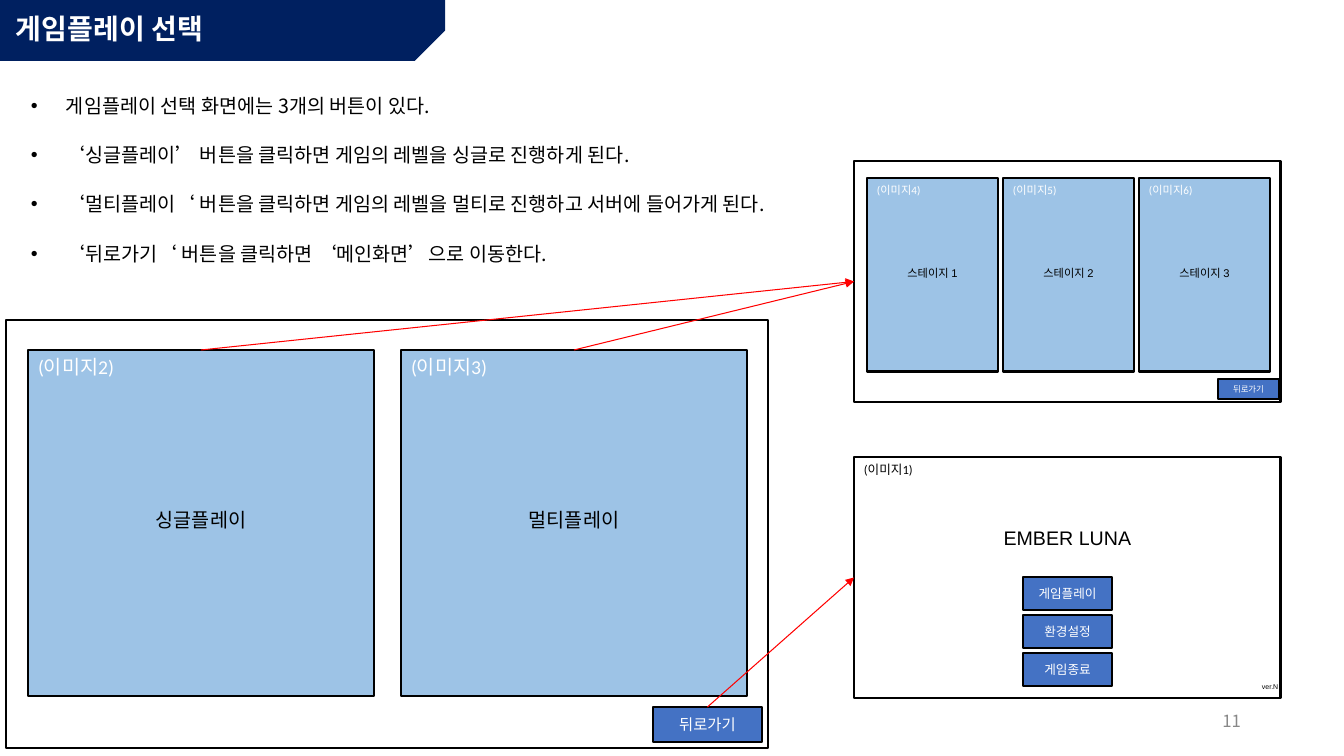
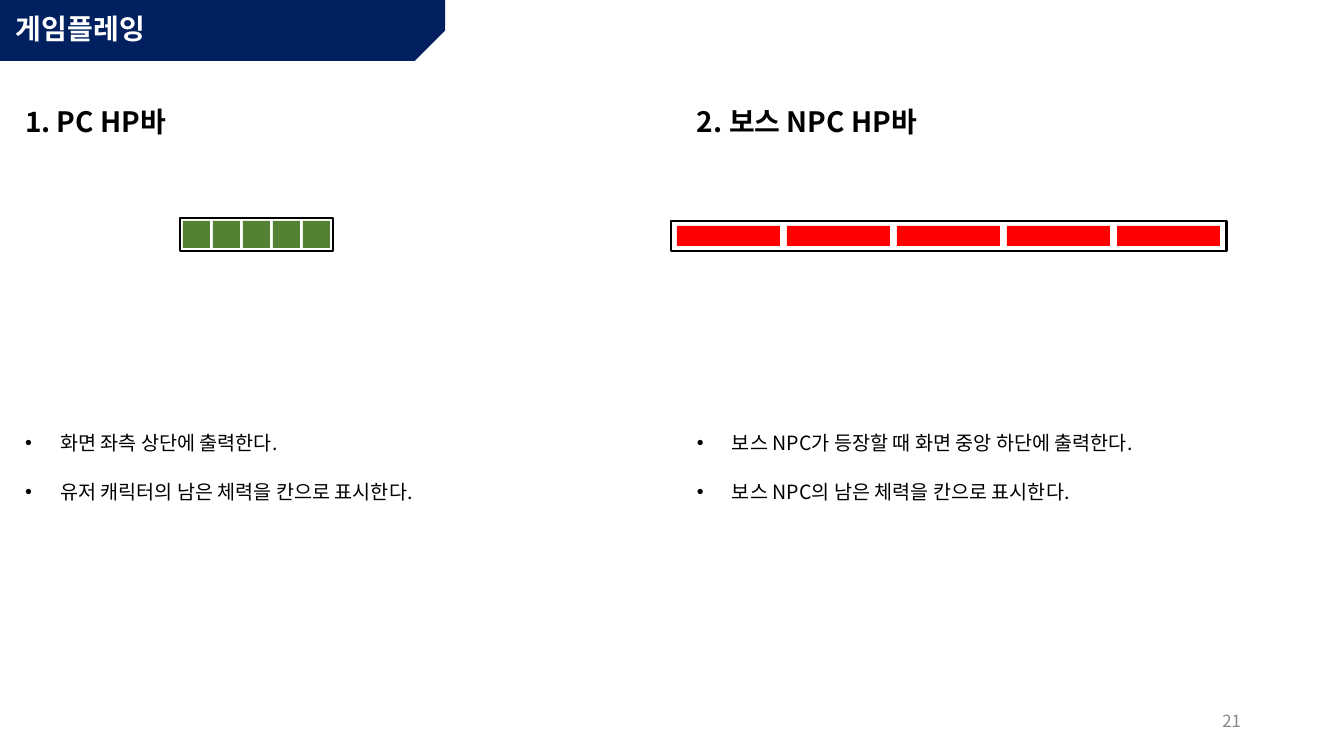
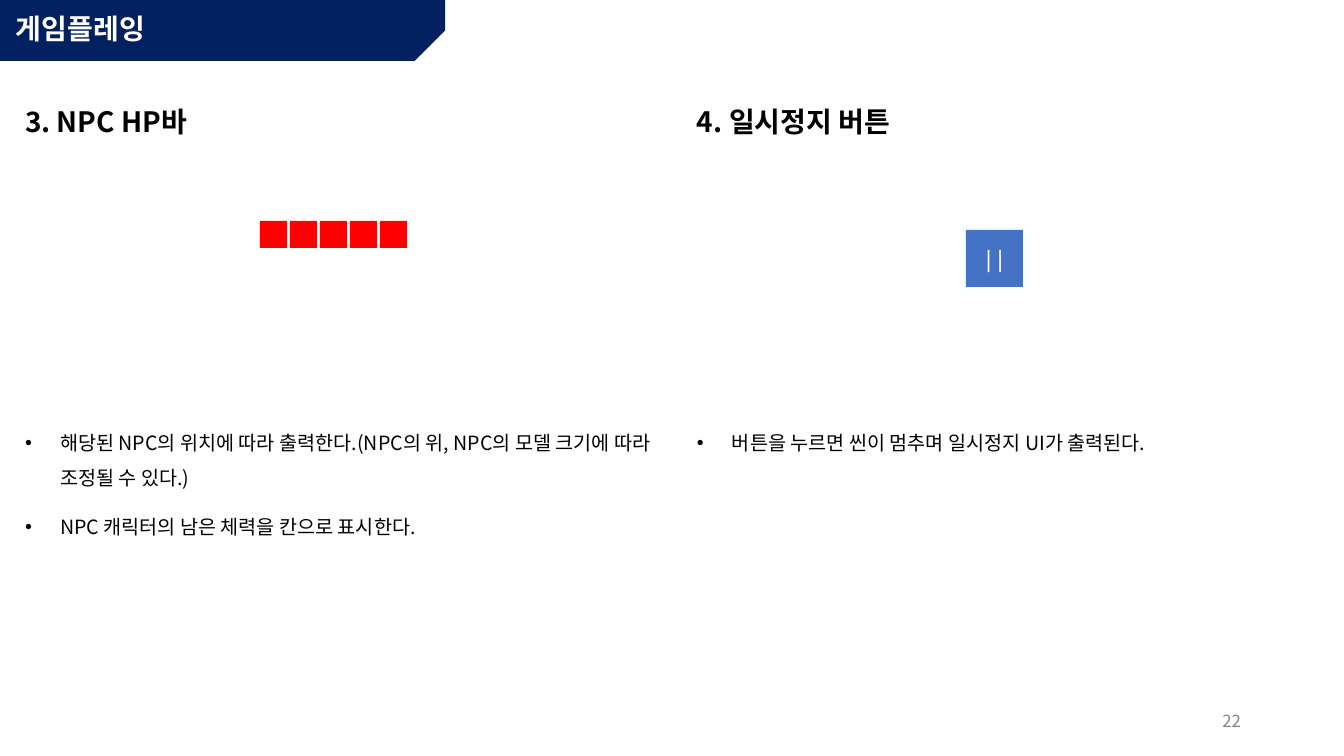
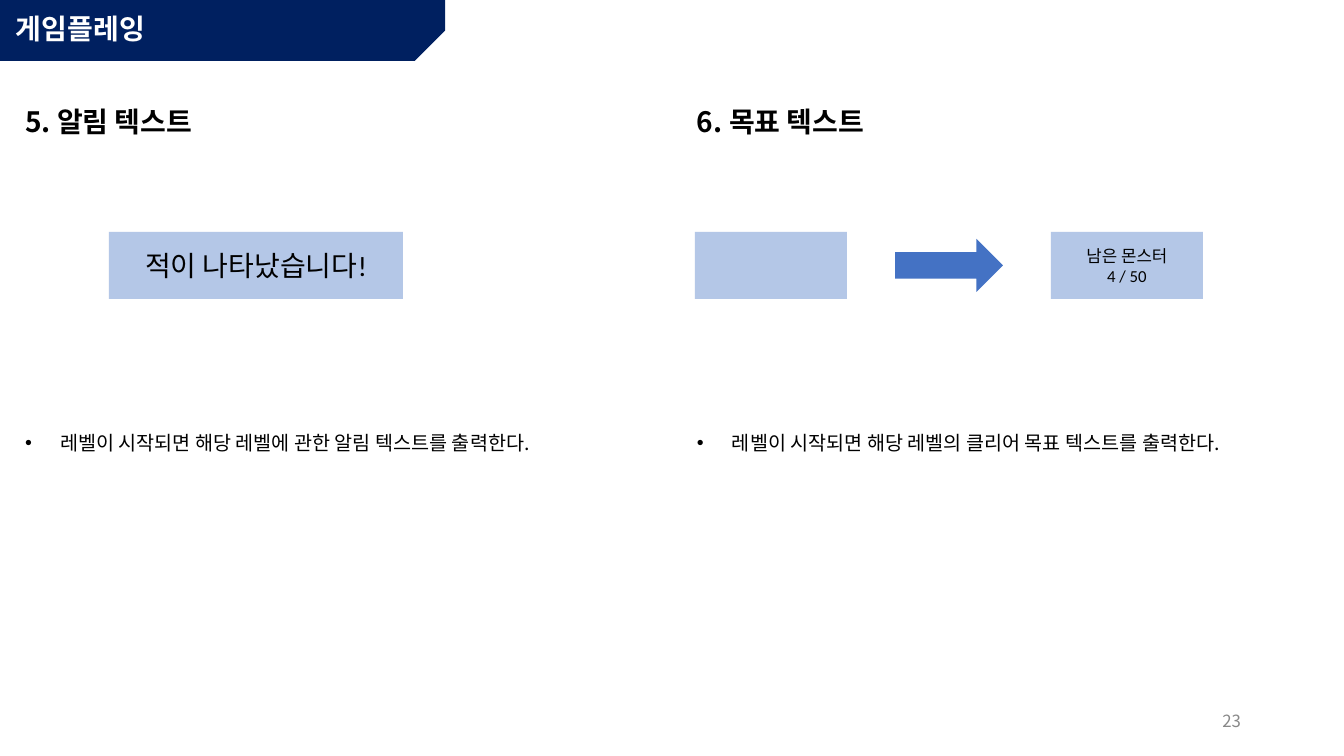
from lxml.etree import SubElement
from pptx import Presentation
from pptx.dml.color import RGBColor
from pptx.enum.shapes import MSO_CONNECTOR, MSO_SHAPE
from pptx.enum.text import MSO_ANCHOR, MSO_AUTO_SIZE, PP_ALIGN
from pptx.oxml.ns import qn
from pptx.util import Emu, Pt

PX = 914400 / 100.8
W, H = 1344, 756
NOTO, CALIBRI, ARIAL = "Noto Sans CJK KR", "Calibri", "Arial"
BLACK, WHITE, GRAY, RED, GREEN = "000000", "FFFFFF", "888888", "FF0000", "548235"
NAVY, BLUE, SKY, PALE = "002060", "4472C4", "9DC3E6", "B4C7E7"
TITLE_BOX = (6, 7, 406, 46)
NUMBER_BOX = (949, 701, 302, 40)
COLUMN_W = W // 2


def px(n):
    """Turn pixels into EMU."""
    return Emu(round(n * PX))


def rgb(hex_color):
    """Turn a hex string into a colour."""
    return RGBColor.from_string(hex_color)


def write(tf, text, size, font=NOTO, color=BLACK, bold=False, align=PP_ALIGN.LEFT,
          anchor=MSO_ANCHOR.TOP, inset=(10, 5), spacing=None, before=None):
    """Fill a text frame and give all its runs one style."""
    tf.text = text
    tf.vertical_anchor = anchor
    tf.margin_left = tf.margin_right = px(inset[0])
    tf.margin_top = tf.margin_bottom = px(inset[1])
    for p in tf.paragraphs:
        p.alignment = align
        if spacing:
            p.line_spacing = spacing
        if before:
            p.space_before = Pt(before)
        for r in p.runs:
            r.font.size, r.font.bold, r.font.name = Pt(size), bold, font
            r.font.color.rgb = rgb(color)
            SubElement(r._r.get_or_add_rPr(), qn("a:ea"), typeface=NOTO)


def add_box(shapes, box, fill=None, line=None, kind=MSO_SHAPE.RECTANGLE):
    """Add a flat preset shape."""
    sp = shapes.add_shape(kind, *map(px, box))
    sp.shadow.inherit = False
    if fill:
        sp.fill.solid()
        sp.fill.fore_color.rgb = rgb(fill)
    else:
        sp.fill.background()
    if line:
        sp.line.color.rgb = rgb(line)
        sp.line.width = Pt(2)
    else:
        sp.line.fill.background()
    return sp


def add_text(shapes, box, text, size, **style):
    """Add a wrapping text box."""
    tf = shapes.add_textbox(*map(px, box)).text_frame
    tf.word_wrap = True
    write(tf, text, size, **style)
    return tf


def add_label(shapes, box, text, size, align=PP_ALIGN.CENTER):
    """Add a one-line label that fits its text."""
    tf = add_text(shapes, box, text, size, font=ARIAL, align=align)
    tf.word_wrap = False
    tf.auto_size = MSO_AUTO_SIZE.SHAPE_TO_FIT_TEXT


def add_button(shapes, box, text, size, fill=BLUE, line=BLACK, color=WHITE):
    """Add a rectangle with centred text."""
    sp = add_box(shapes, box, fill, line)
    write(sp.text_frame, text, size, CALIBRI, color, align=PP_ALIGN.CENTER,
          anchor=MSO_ANCHOR.MIDDLE, inset=(0, 0))
    return sp


def add_bullets(shapes, box, lines):
    """Add a bulleted list."""
    tf = add_text(shapes, box, "\n".join(lines), 14, spacing=1.5, before=10)
    for p in tf.paragraphs:
        pPr = p._p.get_or_add_pPr()
        pPr.set("marL", str(px(50)))
        pPr.set("indent", str(px(-35)))
        SubElement(SubElement(pPr, qn("a:buClr")), qn("a:srgbClr"), val=BLACK)
        SubElement(pPr, qn("a:buFont"), typeface=ARIAL)
        SubElement(pPr, qn("a:buChar"), char="•")


def add_arrow(shapes, start, end):
    """Draw a red arrow from the top of one shape to the left of another."""
    c = shapes.add_connector(MSO_CONNECTOR.STRAIGHT, 0, 0, 0, 0)
    c.begin_connect(start, 0)
    c.end_connect(end, 1)
    c.line.color.rgb = rgb(RED)
    c.line.width = Pt(0.75)
    SubElement(c.line._get_or_add_ln(), qn("a:tailEnd"), type="triangle")
    SubElement(c.element.spPr, qn("a:effectLst"))


def add_band(s, layout):
    """Put the navy title band on the layout."""
    band = add_box(s.shapes, (0, 0, 445, 61), NAVY, kind=MSO_SHAPE.SNIP_1_RECTANGLE)
    band.adjustments[0] = 0.5
    band.rotation = 180
    band.element.spPr.xfrm.set("flipH", "1")
    layout.shapes.element.append(band.element)


def new_slide(prs, layout, title, number):
    """Start a slide with its title and number."""
    s = prs.slides.add_slide(layout)
    t = s.shapes.title
    t.left, t.top, t.width, t.height = map(px, TITLE_BOX)
    write(t.text_frame, title, 20, color=WHITE, bold=True,
          anchor=MSO_ANCHOR.MIDDLE, spacing=0.9)
    add_text(s.shapes, NUMBER_BOX, str(number), 12, color=GRAY,
             align=PP_ALIGN.RIGHT, anchor=MSO_ANCHOR.MIDDLE)
    return s


def choice_screen(shapes, box, tile, pitch, names, first, size, back, back_size):
    """Draw a game screen with numbered tiles and a back button."""
    x, y, _, _ = box
    frame = add_box(shapes, box, line=BLACK)
    dx, dy, w, h = tile
    label_h = 2 * size + 12
    tiles = []
    for i, name in enumerate(names):
        left, top = x + dx + i * pitch, y + dy
        sp = add_box(shapes, (left, top, w, h), SKY, BLACK)
        write(sp.text_frame, f"(이미지{first + i})", size, CALIBRI, WHITE)
        add_label(shapes, (left, top + (h - label_h) // 2, w, label_h), name, size)
        tiles.append(sp)
    dx, dy, w, h = back
    button = add_button(shapes, (x + dx, y + dy, w, h), "뒤로가기", back_size)
    return frame, tiles, button


def main_screen(shapes, box):
    """Draw the main menu screen."""
    x, y, w, _ = box
    frame = add_box(shapes, box, line=BLACK)
    write(frame.text_frame, "(이미지1)", 9, CALIBRI)
    add_label(shapes, (x, y + 64, w, 34), "EMBER LUNA", 14)
    for i, name in enumerate(("게임플레이", "환경설정", "게임종료")):
        add_button(shapes, (x + (w - 89) // 2, y + 120 + i * 38, 89, 33), name, 9)
    add_label(shapes, (x + 398, y + 221, 37, 19), "ver.N", 5, PP_ALIGN.LEFT)
    return frame


def hp_bar(shapes, box, cell, pitch, fill, line=None, count=5):
    """Draw a frame with a centred row of cells."""
    x, y, w, h = box
    cell_w, cell_h = cell
    add_box(shapes, box, WHITE, line)
    left = x + (w - (count - 1) * pitch - cell_w) // 2
    for i in range(count):
        add_box(shapes, (left + i * pitch, y + (h - cell_h) // 2, cell_w, cell_h), fill)


def goal_change(shapes, x, y):
    """Draw the goal panel before and after it fills."""
    add_box(shapes, (x, y, 152, 67), PALE)
    add_box(shapes, (x + 200, y + 7, 108, 53), BLUE, kind=MSO_SHAPE.RIGHT_ARROW)
    add_button(shapes, (x + 356, y, 152, 67), "남은 몬스터\n4 / 50", 12, PALE, None, BLACK)


def column(s, x, heading, lines):
    """Write the heading and the bullets of one half of a slide."""
    tf = add_text(s.shapes, (x, 83, 513, 83), heading, 20, bold=True,
                  spacing=1.5, before=10)
    tf.paragraphs[0]._p.get_or_add_pPr().set("marL", str(px(15)))
    add_bullets(s.shapes, (x, 414, COLUMN_W, 195), lines)


def group(s):
    """Open a group and return its shapes."""
    return s.shapes.add_group_shape().shapes


def selection_slide(s):
    """Fill the slide on choosing a play mode."""
    _, modes, back = choice_screen(
        s.shapes, (6, 320, 762, 428), (22, 30, 346, 346), 373,
        ("싱글플레이", "멀티플레이"), 2, 14, (647, 387, 109, 35), 11)
    add_bullets(s.shapes, (6, 77, 1328, 616), (
        "게임플레이 선택 화면에는 3개의 버튼이 있다.",
        "‘싱글플레이’ 버튼을 클릭하면 게임의 레벨을 싱글로 진행하게 된다.",
        "‘멀티플레이‘ 버튼을 클릭하면 게임의 레벨을 멀티로 진행하고 서버에 들어가게 된다.",
        "‘뒤로가기‘ 버튼을 클릭하면 ‘메인화면’으로 이동한다."))
    menu = main_screen(group(s), (854, 457, 427, 241))
    stages, _, _ = choice_screen(
        group(s), (854, 161, 427, 241), (13, 17, 131, 194), 136,
        ("스테이지 1", "스테이지 2", "스테이지 3"), 4, 8, (364, 218, 61, 20), 6)
    add_arrow(s.shapes, back, menu)
    for mode in modes:
        add_arrow(s.shapes, mode, stages)


def player_boss_slide(s):
    """Fill the slide on the player and boss bars."""
    column(s, 0, "1. PC HP바", (
        "화면 좌측 상단에 출력한다.",
        "유저 캐릭터의 남은 체력을 칸으로 표시한다."))
    column(s, COLUMN_W, "2. 보스 NPC HP바", (
        "보스 NPC가 등장할 때 화면 중앙 하단에 출력한다.",
        "보스 NPC의 남은 체력을 칸으로 표시한다."))
    hp_bar(group(s), (180, 218, 153, 33), (27, 27), 30, GREEN, BLACK)
    hp_bar(group(s), (671, 221, 556, 30), (103, 20), 110, RED, BLACK)


def npc_pause_slide(s):
    """Fill the slide on the NPC bar and the pause button."""
    column(s, 0, "3. NPC HP바", (
        "해당된 NPC의 위치에 따라 출력한다.(NPC의 위, NPC의 모델 크기에 따라 조정될 수 있다.)",
        "NPC 캐릭터의 남은 체력을 칸으로 표시한다."))
    column(s, COLUMN_W, "4. 일시정지 버튼", (
        "버튼을 누르면 씬이 멈추며 일시정지 UI가 출력된다.",))
    hp_bar(group(s), (257, 218, 153, 33), (27, 27), 30, RED)
    add_button(s.shapes, (966, 230, 57, 57), "||", 18, line=None)


def notice_goal_slide(s):
    """Fill the slide on the notice and goal texts."""
    column(s, 0, "5. 알림 텍스트", (
        "레벨이 시작되면 해당 레벨에 관한 알림 텍스트를 출력한다.",))
    column(s, COLUMN_W, "6. 목표 텍스트", (
        "레벨이 시작되면 해당 레벨의 클리어 목표 텍스트를 출력한다.",))
    add_button(s.shapes, (109, 232, 294, 67), "적이 나타났습니다!", 20, PALE, None, BLACK)
    goal_change(group(s), 695, 232)


def main():
    """Build and save the presentation."""
    prs = Presentation()
    prs.slide_width, prs.slide_height = px(W), px(H)
    layout = prs.slide_layouts.get_by_name("Title Only")
    pages = (
        ("게임플레이 선택", 11, selection_slide),
        ("게임플레잉", 21, player_boss_slide),
        ("게임플레잉", 22, npc_pause_slide),
        ("게임플레잉", 23, notice_goal_slide),
    )
    for title, number, fill_slide in pages:
        fill_slide(new_slide(prs, layout, title, number))
    add_band(prs.slides[0], layout)
    prs.save("out.pptx")


main()
